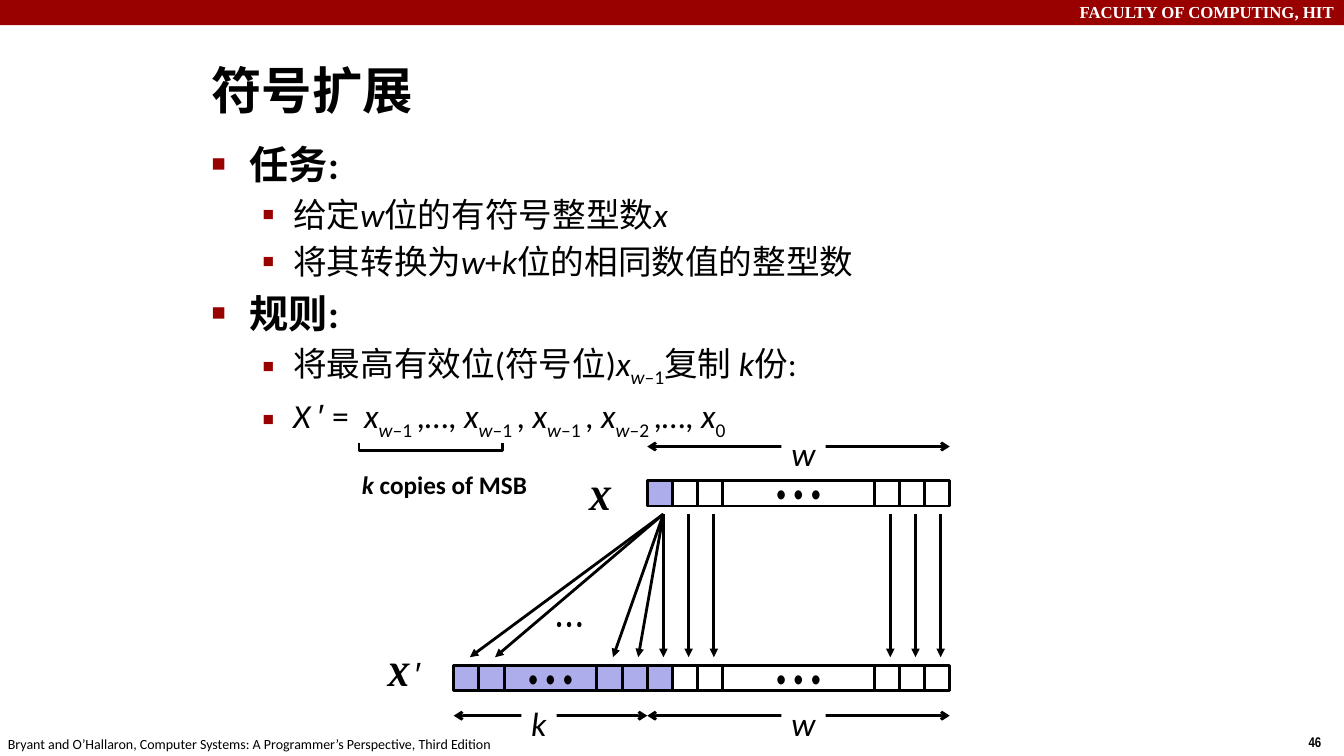
from lxml import etree
from pptx import Presentation, util as u
from pptx.dml.color import RGBColor
from pptx.enum import shapes, text
from pptx.oxml.ns import qn

HUE = {"red": "990000", "bit": "ADADEB", "white": "FFFFFF", "black": "000000"}
DOTS = "• • •"

# Run styles: b bold, i italic, s subscript, a Arial
BODY = [
    (0, [("任务:", "b")]),
    (1, [("给定", ""), ("w", "i"), ("位的有符号整型数", ""), ("x", "i")]),
    (1, [("将其转换为", ""), ("w", "i"), ("+", ""), ("k", "i"),
         ("位的相同数值的整型数", "")]),
    (0, [("规则:", "b")]),
    (1, [("将最高有效位(符号位)", ""), ("x", "i"), ("w", "is"), ("–1", "s"),
         ("复制 ", ""), ("k", "i"), ("份:", "")]),
    (1, [("X ", "i"), ("′", "a"), (" =  ", ""),
         ("x", "i"), ("w", "is"), ("–1 ", "s"), (",…, ", ""),
         ("x", "i"), ("w", "is"), ("–1 ", "s"), (", ", ""),
         ("x", "i"), ("w", "is"), ("–1 ", "s"), (", ", ""),
         ("x", "i"), ("w", "is"), ("–2 ", "s"), (",…, ", ""),
         ("x", "i"), ("0", "s")]),
]
# Per level: size, left indent, hanging indent, bullet, bullet percent
LEVELS = [(28, 0.38, 0.38, "■", 60), (24, 0.81, 0.31, "▪", 110)]

# Box in inches, runs, size, font
LABELS = [
    ((12.88, 7.23, 0.34, 0.27), [("46", "b")], 10, "Arial Narrow"),
    ((-0.02, 7.25, 5.08, 0.27),
     [("Bryant and O’Hallaron, Computer Systems: A Programmer’s Perspective, "
       "Third Edition", "")], 10, "Calibri"),
    ((3.49, 4.61, 1.85, 0.4), [("k", "bi"), (" copies of MSB", "b")], 18, "Calibri"),
    ((5.75, 4.68, 0.51, 0.51), [("X", "bi")], 24, "Cambria"),
    ((3.75, 6.43, 0.59, 0.51), [("X ", "bi"), ("′", "a")], 24, "Cambria"),
    ((5.42, 6.02, 0.46, 0.34), [(DOTS, "")], 14, "Arial Narrow"),
]
# Arrow from, arrow to, height, label, label left, label width
SPANS = [(6.42, 9.42, 4.43, "w", 7.75, 0.44),
         (6.42, 9.42, 7.1, "w", 7.75, 0.44),
         (4.5, 6.42, 7.1, "k", 5.17, 0.35)]
BRACE = [(3.56, 4.39), (3.56, 4.47), (4.98, 4.47), (4.98, 4.39)]

BIT = 0.25
WORD = [BIT] * 3 + [1.5] + [BIT] * 3
SIGN = [BIT] * 2 + [0.92] + [BIT] * 2
SIGN_X, WORD_X = 4.5, 6.42
TOP_Y, LOW_Y = 4.77, 6.6
TAIL_Y, TIP_Y = 5.1, 6.52
TIP_DX = 0.16


def inch(val):
    return u.Cm(2.54 * val)


def rgb(name):
    return RGBColor.from_string(HUE[name])


def ink(line):
    line.color.rgb = rgb("black")
    line.width = u.Pt(2)


def add_runs(para, runs, size, face, hue="black"):
    for words, style in runs:
        run = para.add_run()
        run.text = words
        font = run.font
        font.size = u.Pt(size)
        font.name = "Arial" if "a" in style else face
        font.bold, font.italic = "b" in style, "i" in style
        font.color.rgb = rgb(hue)
        if "s" in style:
            run._r.get_or_add_rPr().set("baseline", "-25000")


def add_box(box, wrap=False):
    frame = page.shapes.add_textbox(*map(inch, box)).text_frame
    frame.word_wrap = wrap
    return frame


def add_rect(box, fill, lined=False):
    rect = page.shapes.add_shape(shapes.MSO_SHAPE.RECTANGLE, *map(inch, box))
    rect.shadow.inherit = False
    rect.fill.solid()
    rect.fill.fore_color.rgb = rgb(fill)
    if lined:
        ink(rect.line)
    else:
        rect.line.fill.background()
    return rect


def add_arrow(x1, y1, x2, y2, **ends):
    line = page.shapes.add_connector(
        shapes.MSO_CONNECTOR.STRAIGHT, *map(inch, (x1, y1, x2, y2)))
    ink(line.line)
    for tag, kind in ends.items():
        etree.SubElement(line.line._get_or_add_ln(), qn(f"a:{tag}"), type=kind)
    etree.SubElement(line._element.spPr, qn("a:effectLst"))


def set_bullet(para, level, first):
    _, left, hang, char, pct = LEVELS[level]
    props = para._p.get_or_add_pPr()
    props.set("marL", str(inch(left)))
    props.set("indent", str(-inch(hang)))
    if not first:
        gap = etree.SubElement(props, qn("a:spcBef"))
        etree.SubElement(gap, qn("a:spcPct"), val="20000")
    tint = etree.SubElement(props, qn("a:buClr"))
    etree.SubElement(tint, qn("a:srgbClr"), val=HUE["red"])
    etree.SubElement(props, qn("a:buSzPct"), val=str(pct * 1000))
    etree.SubElement(props, qn("a:buFont"), typeface="Arial")
    etree.SubElement(props, qn("a:buChar"), char=char)


def add_row(left, top, widths, tinted):
    """Draw a row of bits and return the left edge of each single bit."""
    edges = []
    for num, width in enumerate(widths):
        fill = "bit" if num < tinted else "white"
        cell = add_rect((left, top, width, BIT), fill, True)
        if width > BIT:
            frame = cell.text_frame
            frame.word_wrap = False
            frame.vertical_anchor = text.MSO_ANCHOR.MIDDLE
            frame.paragraphs[0].alignment = text.PP_ALIGN.CENTER
            add_runs(frame.paragraphs[0], [(DOTS, "")], 24, "Arial Narrow")
        else:
            edges.append(left)
        left += width
    return edges


deck = Presentation()
deck.slide_width, deck.slide_height = inch(13.33), inch(7.5)
page = deck.slides.add_slide(deck.slide_layouts[6])

add_rect((0, 0, 13.33, 0.25), "red")
head = add_box((0, -0.03, 13.33, 0.3), True).paragraphs[0]
head.alignment = text.PP_ALIGN.RIGHT
add_runs(head, [("FACULTY OF COMPUTING, HIT", "b")], 12, "Times New Roman", "white")

title = add_box((2, 0.58, 6.68, 0.61), True)
title.vertical_anchor = text.MSO_ANCHOR.MIDDLE
add_runs(title.paragraphs[0], [("符号扩展", "b")], 36, "Calibri")

body = add_box((2, 1.34, 9.07, 5.71), True)
for num, (level, runs) in enumerate(BODY):
    para = body.add_paragraph() if num else body.paragraphs[0]
    para.level = level
    set_bullet(para, level, num == 0)
    add_runs(para, runs, LEVELS[level][0], "Calibri")

points = [(inch(x), inch(y)) for x, y in BRACE]
pen = page.shapes.build_freeform(*points[0])
pen.add_line_segments(points[1:], close=False)
brace = pen.convert_to_shape()
brace.shadow.inherit = False
brace.fill.background()
ink(brace.line)

# Spans come before the rows so that their white labels stay behind the cells
for start, end, y, name, left, width in SPANS:
    add_arrow(start, y, end, y, headEnd="arrow", tailEnd="arrow")
    frame = add_rect((left, y - 0.18, width, 0.51), "white").text_frame
    frame.word_wrap = False
    frame.vertical_anchor = text.MSO_ANCHOR.TOP
    frame.paragraphs[0].alignment = text.PP_ALIGN.LEFT
    add_runs(frame.paragraphs[0], [(name, "i")], 24, "Calibri")

bits = add_row(WORD_X, TOP_Y, WORD, 1)
copies = add_row(SIGN_X, LOW_Y, SIGN, len(SIGN))
add_row(WORD_X, LOW_Y, WORD, 1)
moves = [(WORD_X, edge) for edge in copies] + [(edge, edge) for edge in bits]
for start, end in moves:
    add_arrow(start + TIP_DX, TAIL_Y, end + TIP_DX, TIP_Y, tailEnd="triangle")

for box, runs, size, face in LABELS:
    add_runs(add_box(box).paragraphs[0], runs, size, face)

deck.save("out.pptx")
